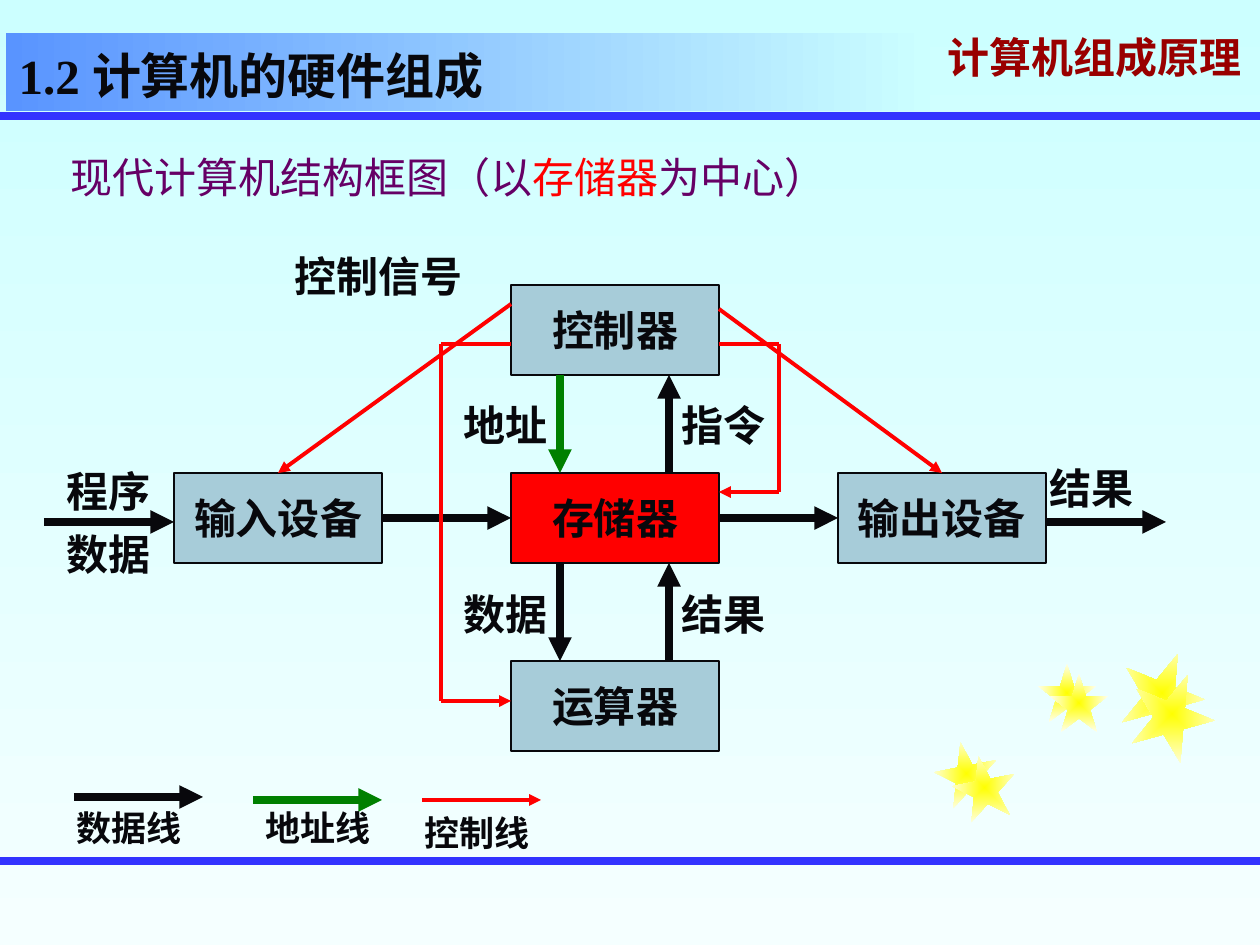
from itertools import pairwise

from lxml import etree
from pptx import Presentation
from pptx.dml.color import RGBColor
from pptx.enum.shapes import MSO_CONNECTOR, MSO_SHAPE
from pptx.enum.text import MSO_ANCHOR, PP_ALIGN
from pptx.oxml.ns import qn
from pptx.util import Emu, Pt

STRAIGHT = MSO_CONNECTOR.STRAIGHT
RECTANGLE, STAR = MSO_SHAPE.RECTANGLE, MSO_SHAPE.STAR_5_POINT
TOP, MIDDLE, BOTTOM = MSO_ANCHOR.TOP, MSO_ANCHOR.MIDDLE, MSO_ANCHOR.BOTTOM
LEFT, CENTER = PP_ALIGN.LEFT, PP_ALIGN.CENTER

TITLE_ONLY = 5
TOP_SIDE, LEFT_SIDE, RIGHT_SIDE = 0, 1, 3
INK, RED, GREEN, BLUE = "08080C", "FF0000", "008000", "3333FF"
STEEL, PURPLE, MAROON = "A7CCD9", "660066", "990000"
SERIF, SANS, CHINESE = "Times New Roman", "Cabin", "Noto Sans CJK SC"


def px(length):
    return Emu(round(length * 914400 / 126))


def colour(value):
    return RGBColor.from_string(value)


def gradient(fill, start, end, angle=0):
    fill.gradient()
    fill.gradient_angle = angle
    for stop, value in zip(fill.gradient_stops, (start, end)):
        stop.color.rgb = colour(value)


class SlideBuilder:
    def __init__(self, slide):
        self.slide = slide
        self.shapes = slide.shapes

    def add_spans(self, shape, spans, size, font=SERIF, bold=True, anchor=TOP, align=LEFT, wrap=True):
        frame = shape.text_frame
        frame.word_wrap = wrap
        frame.vertical_anchor = anchor
        para = frame.paragraphs[0]
        para.alignment = align
        for text, value in spans:
            span = para.add_run()
            span.text = text
            span.font.size = Pt(size)
            span.font.bold = bold
            span.font.color.rgb = colour(value)
            span.font.name = font
            etree.SubElement(span.font._element, qn("a:ea"), {"typeface": CHINESE})
        return para

    def title(self, text, left, top, width, height):
        shape = self.shapes.title
        shape.left, shape.top, shape.width, shape.height = map(px, (left, top, width, height))
        gradient(shape.fill, "5994FF", "CCFFFF")
        self.add_spans(shape, [(text, INK)], 28, anchor=BOTTOM)

    def text(self, spans, left, top, width, height, size=24, **style):
        shape = self.shapes.add_textbox(*map(px, (left, top, width, height)))
        return self.add_spans(shape, spans, size, **style)

    def label(self, text, left, top, width=128, size=24):
        self.text([(text, INK)], left, top, width, 63, size)

    def banner(self, text, left, top, width, height):
        para = self.text([(text, MAROON)], left, top, width, height, font=CHINESE, anchor=MIDDLE)
        para.line_spacing = 0.7
        properties = para.runs[0].font._element
        effects = etree.Element(qn("a:effectLst"))
        shadow = etree.SubElement(effects, qn("a:outerShdw"), {"dist": "25400", "dir": "2700000"})
        etree.SubElement(shadow, qn("a:srgbClr"), {"val": "808080"})
        properties.find(qn("a:solidFill")).addnext(effects)

    def unit(self, text, left, top, fill=STEEL):
        box = self.shapes.add_shape(RECTANGLE, *map(px, (left, top, 208, 90)))
        box.shadow.inherit = False
        box.fill.solid()
        box.fill.fore_color.rgb = colour(fill)
        box.line.color.rgb = colour(INK)
        box.line.width = Pt(0.75)
        self.add_spans(box, [(text, INK)], 24, anchor=MIDDLE, align=CENTER, wrap=False)
        return box

    def star(self, left, top, size, rotation):
        star = self.shapes.add_shape(STAR, *map(px, (left, top, size, size)))
        star.shadow.inherit = False
        star.rotation = rotation
        star.line.fill.background()
        gradient(star.fill, "FFFF00", "FFFFE9")
        linear = star._element.spPr.find(".//" + qn("a:lin"))
        centre = etree.Element(qn("a:path"), {"path": "rect"})
        etree.SubElement(centre, qn("a:fillToRect"), dict.fromkeys("ltrb", "50000"))
        linear.getparent().replace(linear, centre)

    def line(self, start, end, value=INK, width=4.5, arrow=True, source=None, target=None):
        line = self.shapes.add_connector(STRAIGHT, *map(px, (*start, *end)))
        line.line.color.rgb = colour(value)
        line.line.width = Pt(width)
        properties = line._element.spPr
        if arrow:
            etree.SubElement(properties.find(qn("a:ln")), qn("a:tailEnd"), {"type": "triangle"})
        etree.SubElement(properties, qn("a:effectLst"))
        if source:
            line.begin_connect(*source)
        if target:
            line.end_connect(*target)

    def control(self, *points, target=None):
        for start, end in pairwise(points):
            last = end == points[-1]
            self.line(start, end, RED, 2.25, last, target=target if last else None)


def main():
    deck = Presentation()
    deck.slide_width, deck.slide_height = px(1260), px(945)
    page = SlideBuilder(deck.slides.add_slide(deck.slide_layouts[TITLE_ONLY]))
    gradient(page.slide.background.fill, "CCFFFF", "F5FFFF", 270)

    page.banner("计算机组成原理", 935, 31, 325, 63)
    for y in (116, 861):
        page.line((0, y), (1260, y), BLUE, arrow=False)
    for left, top, size, rotation in (
        (935, 742, 63, 349), (1038, 664, 58, 0), (1120, 651, 84, 22),
        (953, 756, 63, 349), (1050, 674, 58, 0), (1130, 672, 84, 22),
    ):
        page.star(left, top, size, rotation)

    page.title("1.2 计算机的硬件组成", 6, 33, 924, 78)
    page.text(
        [("现代计算机结构框图（以", PURPLE), ("存储器", RED), ("为中心）", PURPLE)],
        58, 145, 1062, 69, font=SANS, bold=False,
    )

    left, center, right = 174, 511, 838
    upper, middle, lower = (285 + 188 * row for row in range(3))
    source = page.unit("输入设备", left, middle)
    output = page.unit("输出设备", right, middle)
    memory = page.unit("存储器", center, middle, RED)
    page.unit("控制器", center, upper)
    page.unit("运算器", center, lower)

    for first, second, start, end in (
        (source, memory, 382, center), (memory, output, 719, right),
    ):
        page.line((start, 518), (end, 518), source=(first, RIGHT_SIDE), target=(second, LEFT_SIDE))
    page.line((44, 522), (left, 522))
    page.line((1046, 522), (1166, 522))
    for row, value in ((upper, GREEN), (middle, INK)):
        page.line((669, row + 188), (669, row + 90))
        page.line((560, row + 90), (560, row + 188), value)

    page.control((719, 309), (942, middle), target=(output, TOP_SIDE))
    page.control((center, 304), (278, middle), target=(source, TOP_SIDE))
    page.control((center, 344), (441, 344), (441, 701), (center, 701))
    page.control((719, 344), (779, 344), (779, 492), (719, 492))

    for text, x, y in (
        ("程序", 54, 459), ("数据", 54, 522), ("结果", 1037, 456),
        ("数据", 451, 582), ("结果", 669, 582),
        ("地址", 451, 393), ("指令", 669, 393),
    ):
        page.label(text, x, y)
    page.label("控制信号", 282, 244, 208)

    page.line((74, 797), (203, 797))
    page.line((253, 800), (382, 800), GREEN)
    page.control((422, 800), (541, 800))
    for text, x, y in (("数据线", 64, 800), ("地址线", 253, 800), ("控制线", 412, 805)):
        page.label(text, x, y, 148, 20)

    deck.save("out.pptx")


if __name__ == "__main__":
    main()
